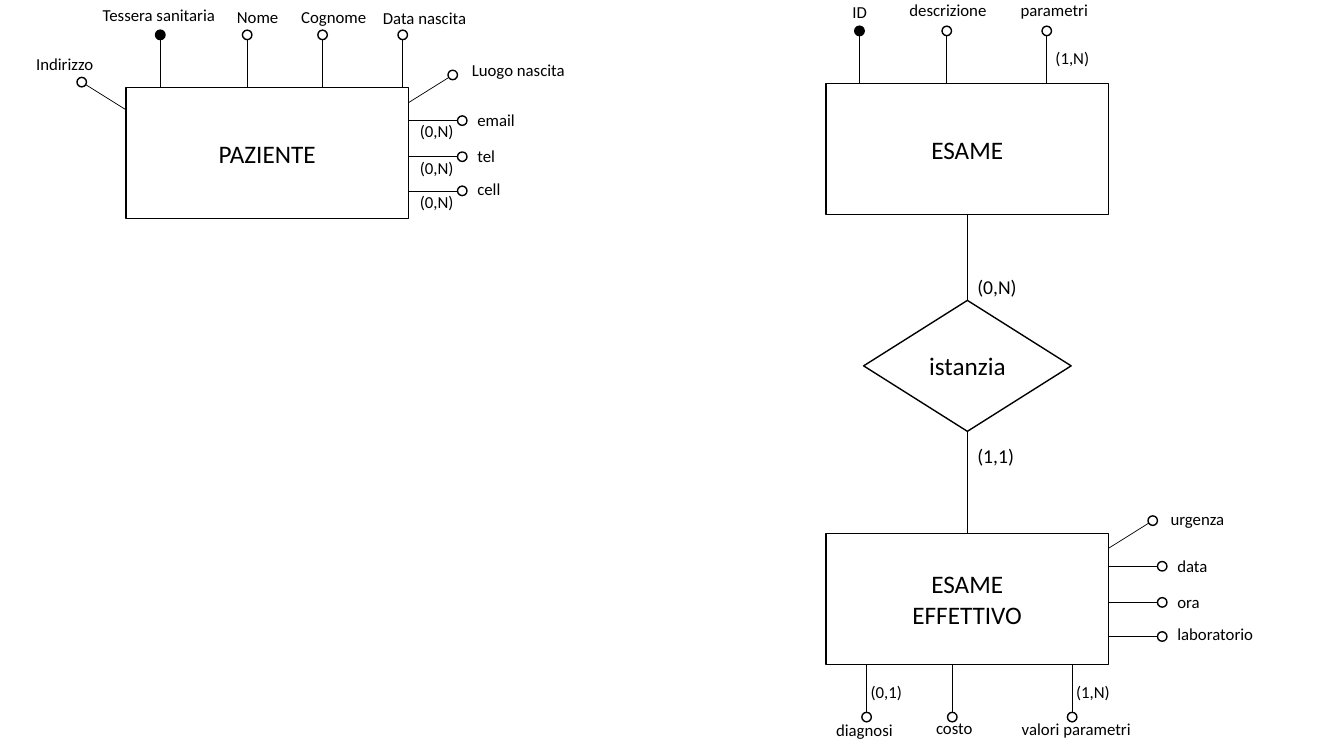
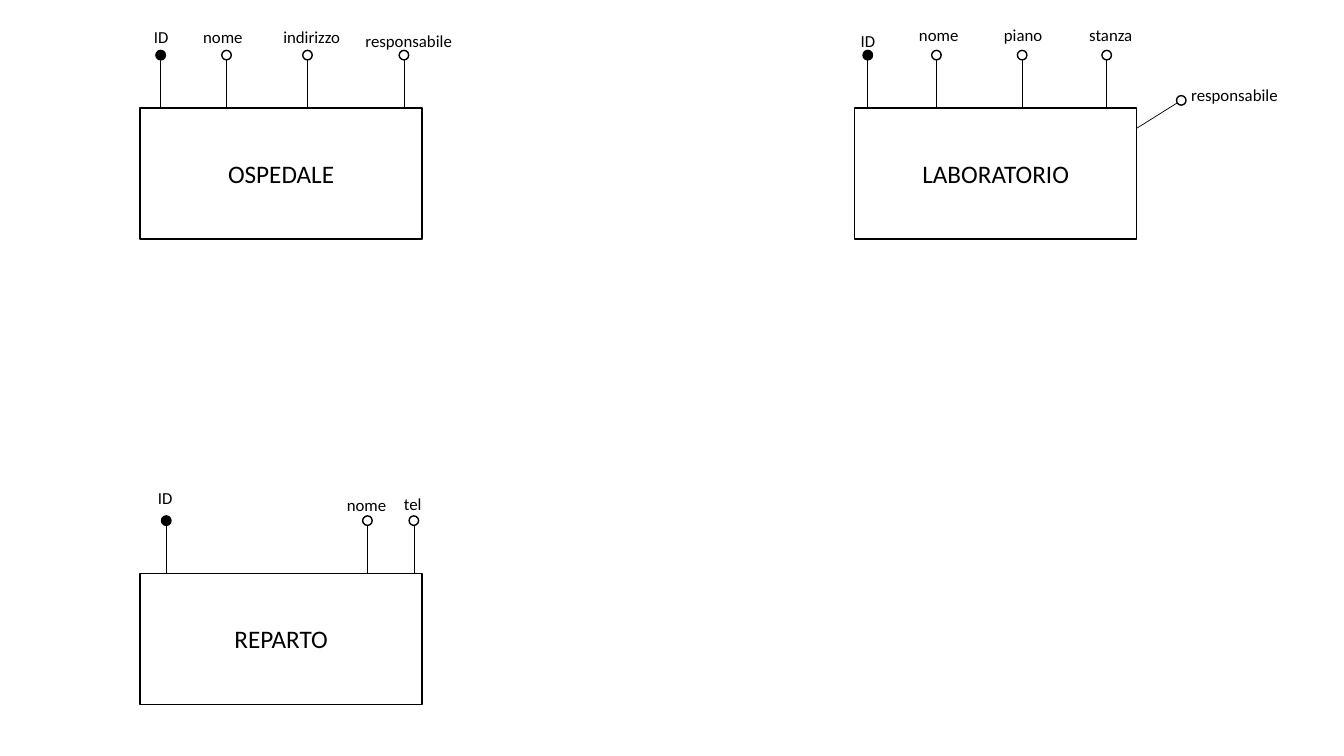
from collections import namedtuple
from math import hypot

from pptx import Presentation
from pptx.dml.color import RGBColor
from pptx.enum import shapes, text
from pptx.oxml import parse_xml
from pptx.oxml.ns import nsdecls
from pptx.util import Cm, Pt

FONT = "Calibri"
INK = "000000"
PAPER = "FFFFFF"
BOX_WIDTH, BOX_HEIGHT = 7.11, 3.3
DIAMOND_WIDTH = 5.23
DOT = 0.24

STALKS = {
    "top": (0, -1.33),
    "bottom": (0, 1.33),
    "right": (1.36, 0),
    "upper right": (1.12, -0.7),
    "upper left": (-1.12, -0.7),
}
CARDINALITY_SHIFTS = {"top": (-0.03, 0.29), "right": (-1.32, -0.11), "bottom": (-0.15, -1.01)}

Attribute = namedtuple(
    "Attribute", "name side offset label_shift cardinality key", defaults=("", False)
)


def color(value):
    return RGBColor.from_string(value)


def format_text(text_frame, content, size, alignment):
    text_frame.text = content
    text_frame.word_wrap = True
    for paragraph in text_frame.paragraphs:
        paragraph.alignment = alignment
        for run in paragraph.runs:
            run.font.name = FONT
            run.font.size = Pt(size)
            run.font.color.rgb = color(INK)


def add_outline(slide, kind, left, top, width, height, fill=PAPER):
    shape = slide.shapes.add_shape(kind, Cm(left), Cm(top), Cm(width), Cm(height))
    shape.shadow.inherit = False
    shape.fill.solid()
    shape.fill.fore_color.rgb = color(fill)
    shape.line.color.rgb = color(INK)
    shape.line.width = Pt(1)
    return shape


def add_node(slide, kind, left, top, width, name):
    shape = add_outline(slide, kind, left, top, width, BOX_HEIGHT)
    shape.text_frame.vertical_anchor = text.MSO_ANCHOR.MIDDLE
    format_text(shape.text_frame, name, 18, text.PP_ALIGN.CENTER)


def add_line(slide, start_x, start_y, end_x, end_y):
    connector = slide.shapes.add_connector(
        shapes.MSO_CONNECTOR.STRAIGHT, Cm(start_x), Cm(start_y), Cm(end_x), Cm(end_y)
    )
    connector.line.color.rgb = color(INK)
    connector.line.width = Pt(0.5)
    properties = connector._element.spPr
    properties.append(parse_xml(f"<a:effectLst {nsdecls('a')}/>"))


def add_label(slide, content, left, top, size=12):
    width = 0.7 + 0.25 * len(content) * size / 12
    height = 0.77 * size / 12
    label = slide.shapes.add_textbox(Cm(left), Cm(top), Cm(width), Cm(height))
    format_text(label.text_frame, content, size, text.PP_ALIGN.LEFT)


def add_attribute(slide, left, top, attribute):
    side, offset = attribute.side, attribute.offset
    if side in ("top", "bottom"):
        start_x = left + offset
        start_y = top + (BOX_HEIGHT if side == "bottom" else 0)
    else:
        start_x = left + (0 if side == "upper left" else BOX_WIDTH)
        start_y = top + offset
    reach_x, reach_y = STALKS[side]
    dot_x, dot_y = start_x + reach_x, start_y + reach_y
    visible = 1 - DOT / 2 / hypot(reach_x, reach_y)
    add_line(slide, start_x, start_y, start_x + reach_x * visible, start_y + reach_y * visible)
    add_outline(
        slide, shapes.MSO_SHAPE.OVAL, dot_x - DOT / 2, dot_y - DOT / 2, DOT, DOT,
        INK if attribute.key else PAPER,
    )
    shift_x, shift_y = attribute.label_shift
    add_label(slide, attribute.name, dot_x + shift_x, dot_y + shift_y)
    if attribute.cardinality:
        shift_x, shift_y = CARDINALITY_SHIFTS[side]
        add_label(slide, attribute.cardinality, dot_x + shift_x, dot_y + shift_y)


def add_entity(slide, left, top, name, attributes):
    add_node(slide, shapes.MSO_SHAPE.RECTANGLE, left, top, BOX_WIDTH, name)
    for attribute in attributes:
        add_attribute(slide, left, top, attribute)


def add_relationship(slide, center, top, name, upper, lower):
    add_node(slide, shapes.MSO_SHAPE.DIAMOND, center - DIAMOND_WIDTH / 2, top, DIAMOND_WIDTH, name)
    bottom = top + BOX_HEIGHT
    for edge, (target, cardinality, shift) in ((top, upper), (bottom, lower)):
        add_line(slide, center, edge, center, target)
        add_label(slide, cardinality, center, edge + shift, 14)


def build_exam_slide(slide):
    add_entity(slide, 3.18, 2.21, "PAZIENTE", [
        Attribute("Tessera sanitaria", "top", 0.86, (-1.7, -0.88), key=True),
        Attribute("Nome", "top", 3.05, (-0.51, -0.83)),
        Attribute("Cognome", "top", 4.95, (-0.79, -0.83)),
        Attribute("Data nascita", "top", 6.97, (-0.75, -0.8)),
        Attribute("Luogo nascita", "upper right", 0.38, (0.23, -0.5)),
        Attribute("email", "right", 0.83, (0.13, -0.39), "(0,N)"),
        Attribute("tel", "right", 1.74, (0.13, -0.39), "(0,N)"),
        Attribute("cell", "right", 2.6, (0.13, -0.44), "(0,N)"),
        Attribute("Indirizzo", "upper left", 0.56, (-1.4, -0.83)),
    ])
    exam_top, actual_top = 2.11, 13.44
    add_entity(slide, 20.82, exam_top, "ESAME", [
        Attribute("ID", "top", 0.84, (-0.43, -0.85), key=True),
        Attribute("descrizione", "top", 3.04, (-1.19, -0.9)),
        Attribute("parametri", "top", 5.56, (-0.91, -0.9), "(1,N)"),
    ])
    add_entity(slide, 20.82, actual_top, "ESAME\nEFFETTIVO", [
        Attribute("urgenza", "upper right", 0.38, (0.2, -0.42)),
        Attribute("data", "right", 0.83, (0.13, -0.39)),
        Attribute("ora", "right", 1.74, (0.13, -0.39)),
        Attribute("laboratorio", "right", 2.6, (0.13, -0.44)),
        Attribute("diagnosi", "bottom", 1.02, (-1.02, -0.06), "(0,1)"),
        Attribute("costo", "bottom", 3.18, (-0.66, -0.1)),
        Attribute("valori parametri", "bottom", 6.2, (-1.52, -0.08), "(1,N)"),
    ])
    add_relationship(
        slide, 24.38, 7.57, "istanzia",
        (exam_top + BOX_HEIGHT, "(0,N)", -0.76), (actual_top, "(1,1)", 0.18),
    )


def build_hospital_slide(slide):
    add_entity(slide, 3.53, 2.72, "OSPEDALE", [
        Attribute("ID", "top", 0.52, (-0.42, -0.85), key=True),
        Attribute("nome", "top", 2.18, (-0.84, -0.85)),
        Attribute("indirizzo", "top", 4.22, (-0.86, -0.83)),
        Attribute("responsabile", "top", 6.65, (-1.22, -0.75)),
    ])
    add_entity(slide, 3.53, 14.45, "REPARTO", [
        Attribute("ID", "top", 0.66, (-0.46, -0.95), key=True),
        Attribute("nome", "top", 5.73, (-0.77, -0.78)),
        Attribute("tel", "top", 6.9, (-0.5, -0.8)),
    ])
    add_entity(slide, 21.54, 2.72, "LABORATORIO", [
        Attribute("ID", "top", 0.33, (-0.43, -0.75), key=True),
        Attribute("nome", "top", 2.06, (-0.69, -0.88)),
        Attribute("piano", "top", 4.22, (-0.71, -0.88)),
        Attribute("stanza", "top", 6.35, (-0.69, -0.88)),
        Attribute("responsabile", "upper right", 0.51, (0, -0.52)),
    ])


presentation = Presentation()
presentation.slide_width = Cm(33.87)
presentation.slide_height = Cm(19.05)
for build in (build_exam_slide, build_hospital_slide):
    build(presentation.slides.add_slide(presentation.slide_layouts[6]))
presentation.save("out.pptx")
